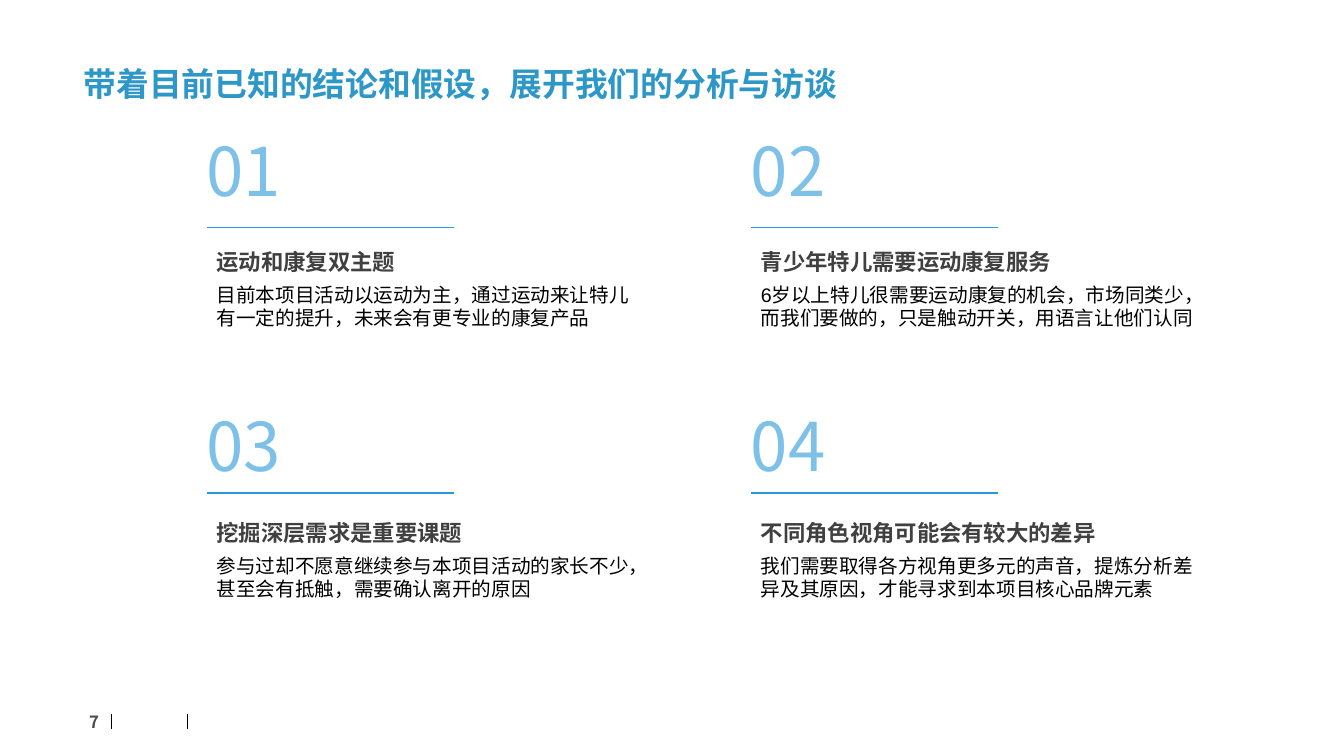
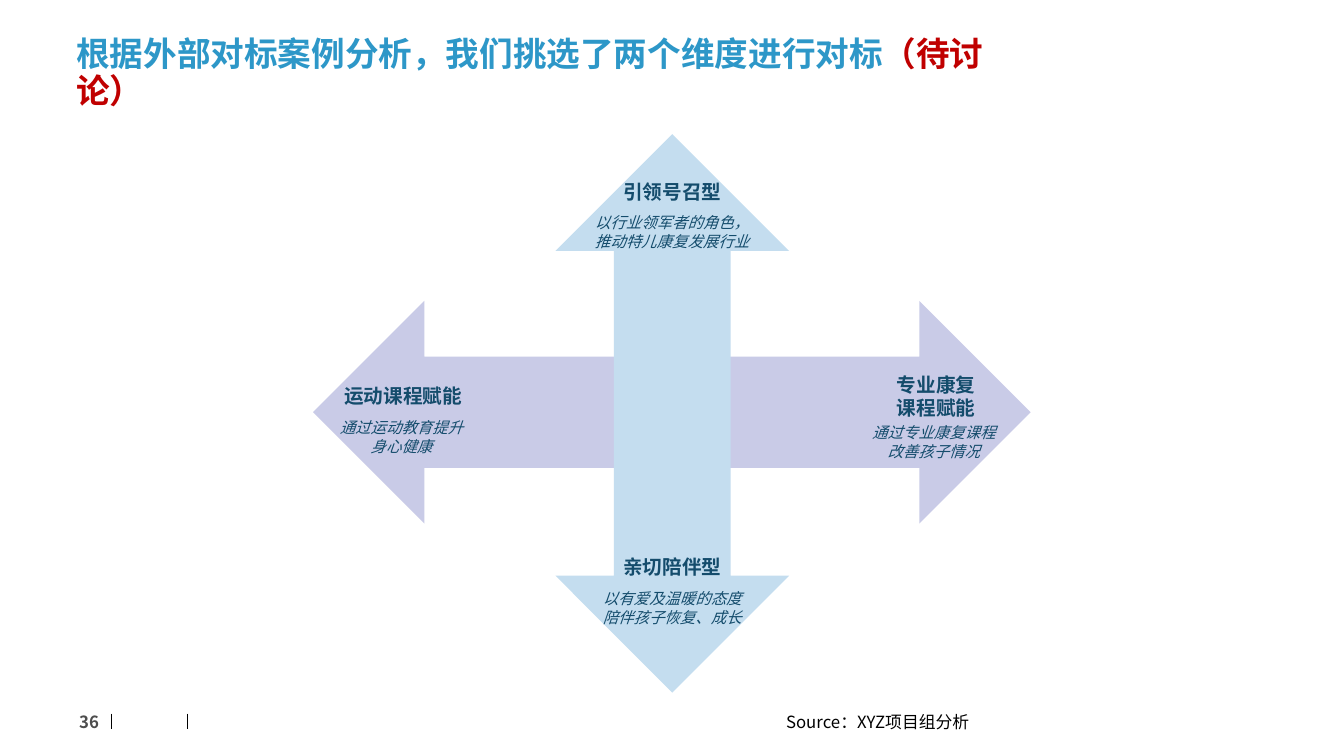
from dataclasses import dataclass

from lxml.etree import SubElement
from pptx import Presentation
from pptx.dml.color import RGBColor
from pptx.enum.lang import MSO_LANGUAGE_ID
from pptx.enum.shapes import MSO_CONNECTOR, MSO_SHAPE
from pptx.enum.text import MSO_ANCHOR, PP_ALIGN
from pptx.oxml.ns import qn
from pptx.util import Pt

# Shared colours and fonts
BLUE, LIGHT_BLUE, RULE_BLUE = "2D97C8", "7EC1E8", "2898D8"
NAVY, RED, BLACK = "144C6C", "C00000", "000000"
HEADING_GREY, PAGE_GREY = "404040", "4D4D4D"
VERTICAL_FILL, HORIZONTAL_FILL = "C4DDEF", "C9CBE7"
SANS, LATIN = "Noto Sans CJK SC", "Arial"


@dataclass(frozen=True)
class Style:
    size: float
    color: str
    font: str = SANS
    bold: bool = False
    italic: bool = False
    leading: float = 1.2
    after: float = 0
    align: PP_ALIGN = PP_ALIGN.LEFT


@dataclass(frozen=True)
class Frame:
    left: float
    top: float
    width: float
    height: float


@dataclass(frozen=True)
class Finding:
    number: str
    heading: str
    detail: str


@dataclass(frozen=True)
class Pole:
    """One end of an axis: a label and an explanation below it."""
    label: tuple[str, ...]
    label_frame: Frame
    note: str
    note_frame: Frame


PAGE_STYLE = Style(12, PAGE_GREY, bold=True, align=PP_ALIGN.RIGHT)
NUMBER_STYLE = Style(48, LIGHT_BLUE)
HEADING_STYLE = Style(16, HEADING_GREY, LATIN, bold=True, after=6)
DETAIL_STYLE = Style(14, BLACK, LATIN, leading=1.17, after=6)
LABEL_STYLE = Style(14, NAVY, bold=True, align=PP_ALIGN.CENTER)
NOTE_STYLE = Style(11, NAVY, italic=True, align=PP_ALIGN.CENTER)
SOURCE_STYLE = Style(12, BLACK)

FINDINGS = (
    Finding("01", "运动和康复双主题",
            "目前本项目活动以运动为主，通过运动来让特儿有一定的提升，未来会有更专业的康复产品"),
    Finding("02", "青少年特儿需要运动康复服务",
            "6岁以上特儿很需要运动康复的机会，市场同类少，而我们要做的，只是触动开关，用语言让他们认同"),
    Finding("03", "挖掘深层需求是重要课题",
            "参与过却不愿意继续参与本项目活动的家长不少，甚至会有抵触，需要确认离开的原因"),
    Finding("04", "不同角色视角可能会有较大的差异",
            "我们需要取得各方视角更多元的声音，提炼分析差异及其原因，才能寻求到本项目核心品牌元素"),
)
COLUMNS = ((147.6, 309), (536.4, 333.4))  # left, detail width
ROWS = ((94.3, 162.7, 173.5), (290.9, 352.1, 367.2))  # number, rule, detail

POLES = (
    Pole(("引领号召型",), Frame(436.3, 125.3, 88, 24.5),
         "以行业领军者的角色，推动特儿康复发展行业", Frame(415.4, 149, 129.6, 34)),
    Pole(("亲切陪伴型",), Frame(436.3, 393.1, 88, 24.5),
         "以有爱及温暖的态度陪伴孩子恢复、成长", Frame(420.5, 417.6, 119.5, 34)),
    Pole(("运动课程赋能",), Frame(223.2, 270.7, 129.6, 24.5),
         "通过运动教育提升身心健康", Frame(231.8, 295.2, 110.2, 34)),
    Pole(("专业康复", "课程赋能"), Frame(604, 262.8, 129.6, 41),
         "通过专业康复课程改善孩子情况", Frame(612, 298.8, 110.2, 34)),
)


def rgb(value: str) -> RGBColor:
    return RGBColor.from_string(value)


def set_all(target, values: dict) -> None:
    for name, value in values.items():
        setattr(target, name, value)


def add_span(para, text: str, style: Style, color: str = "") -> None:
    span = para.add_run()
    span.text = text
    set_all(span.font, {
        "size": Pt(style.size), "name": style.font, "bold": style.bold,
        "italic": style.italic,
        "language_id": MSO_LANGUAGE_ID.SIMPLIFIED_CHINESE,
    })
    span.font.color.rgb = rgb(color or style.color)
    east_asian = SubElement(span.font._element, qn("a:ea"))
    east_asian.set("typeface", SANS)


def add_text(page, frame: Frame, lines: list[tuple[str, Style]],
             anchor=MSO_ANCHOR.TOP, inset: bool = True):
    """Add a text box with one paragraph per line and return its text frame."""
    box = page.shapes.add_textbox(Pt(frame.left), Pt(frame.top),
                                  Pt(frame.width), Pt(frame.height)).text_frame
    set_all(box, {"word_wrap": True, "vertical_anchor": anchor})
    if not inset:
        set_all(box, {f"margin_{side}": 0
                      for side in ("left", "top", "right", "bottom")})
    for index, (text, style) in enumerate(lines):
        para = box.add_paragraph() if index else box.paragraphs[0]
        set_all(para, {
            "alignment": style.align, "space_before": Pt(0),
            "space_after": Pt(style.after),
            "line_spacing": Pt(round(style.size * style.leading, 1)),
        })
        add_span(para, text, style)
    return box


def add_line(page, start: tuple[float, float], end: tuple[float, float],
             color: str, width: float) -> None:
    line = page.shapes.add_connector(MSO_CONNECTOR.STRAIGHT,
                                     *(Pt(value) for value in start + end))
    line.line.color.rgb = rgb(color)
    line.line.width = Pt(width)
    SubElement(line._element.spPr, qn("a:effectLst"))


def add_arrow(page, kind: MSO_SHAPE, frame: Frame, fill: str) -> None:
    arrow = page.shapes.add_shape(kind, Pt(frame.left), Pt(frame.top),
                                  Pt(frame.width), Pt(frame.height))
    arrow.shadow.inherit = False
    arrow.fill.solid()
    arrow.fill.fore_color.rgb = rgb(fill)
    arrow.line.fill.background()


def add_page(deck, number: str, title: str, frame: Frame, size: float,
             remark: str = "") -> object:
    """Add a blank page with the shared title and footer."""
    page = deck.slides.add_slide(deck.slide_layouts[6])
    # Footer: page number and two ticks
    for x in (79.2, 133.9):
        add_line(page, (x, 509.8), (x, 520.6), BLACK, 0.5)
    add_text(page, Frame(38.9, 501.1, 38.9, 28.8), [(number, PAGE_STYLE)],
             MSO_ANCHOR.MIDDLE)
    # Title, with an optional red remark
    style = Style(size, BLUE, bold=True, leading=1.08)
    box = add_text(page, frame, [(title, style)], MSO_ANCHOR.MIDDLE)
    if remark:
        add_span(box.paragraphs[0], remark, style, RED)
    return page


def build_findings(deck) -> None:
    page = add_page(deck, "7", "带着目前已知的结论和假设，展开我们的分析与访谈",
                    Frame(52.6, 43.2, 633, 36), 23.4)
    for index, finding in enumerate(FINDINGS):
        row, column = divmod(index, len(COLUMNS))
        left, detail_width = COLUMNS[column]
        number_top, rule_top, detail_top = ROWS[row]
        add_text(page, Frame(left, number_top, 133.2, 53.3),
                 [(finding.number, NUMBER_STYLE)], MSO_ANCHOR.MIDDLE, inset=False)
        add_line(page, (left, rule_top), (left + 176.8, rule_top), RULE_BLUE, 1)
        add_text(page, Frame(left, detail_top, detail_width, 67),
                 [(finding.heading, HEADING_STYLE), (finding.detail, DETAIL_STYLE)])


def build_axes(deck) -> None:
    page = add_page(deck, "36", "根据外部对标案例分析，我们挑选了两个维度进行对标",
                    Frame(47.5, 34.6, 689, 36), 24, "（待讨论）")
    # Crossed axes
    add_arrow(page, MSO_SHAPE.LEFT_RIGHT_ARROW,
              Frame(223.6, 214.9, 512.6, 159.1), HORIZONTAL_FILL)
    add_arrow(page, MSO_SHAPE.UP_DOWN_ARROW,
              Frame(396.7, 95.8, 167, 398.9), VERTICAL_FILL)
    # Text at the four poles
    for pole in POLES:
        add_text(page, pole.label_frame, [(line, LABEL_STYLE) for line in pole.label])
        add_text(page, pole.note_frame, [(pole.note, NOTE_STYLE)])
    add_text(page, Frame(554.4, 504.7, 342, 21.6),
             [("Source：XYZ项目组分析", SOURCE_STYLE)])


def main() -> None:
    deck = Presentation()
    set_all(deck, {"slide_width": Pt(960), "slide_height": Pt(540)})
    build_findings(deck)
    build_axes(deck)
    deck.save("out.pptx")


if __name__ == "__main__":
    main()
